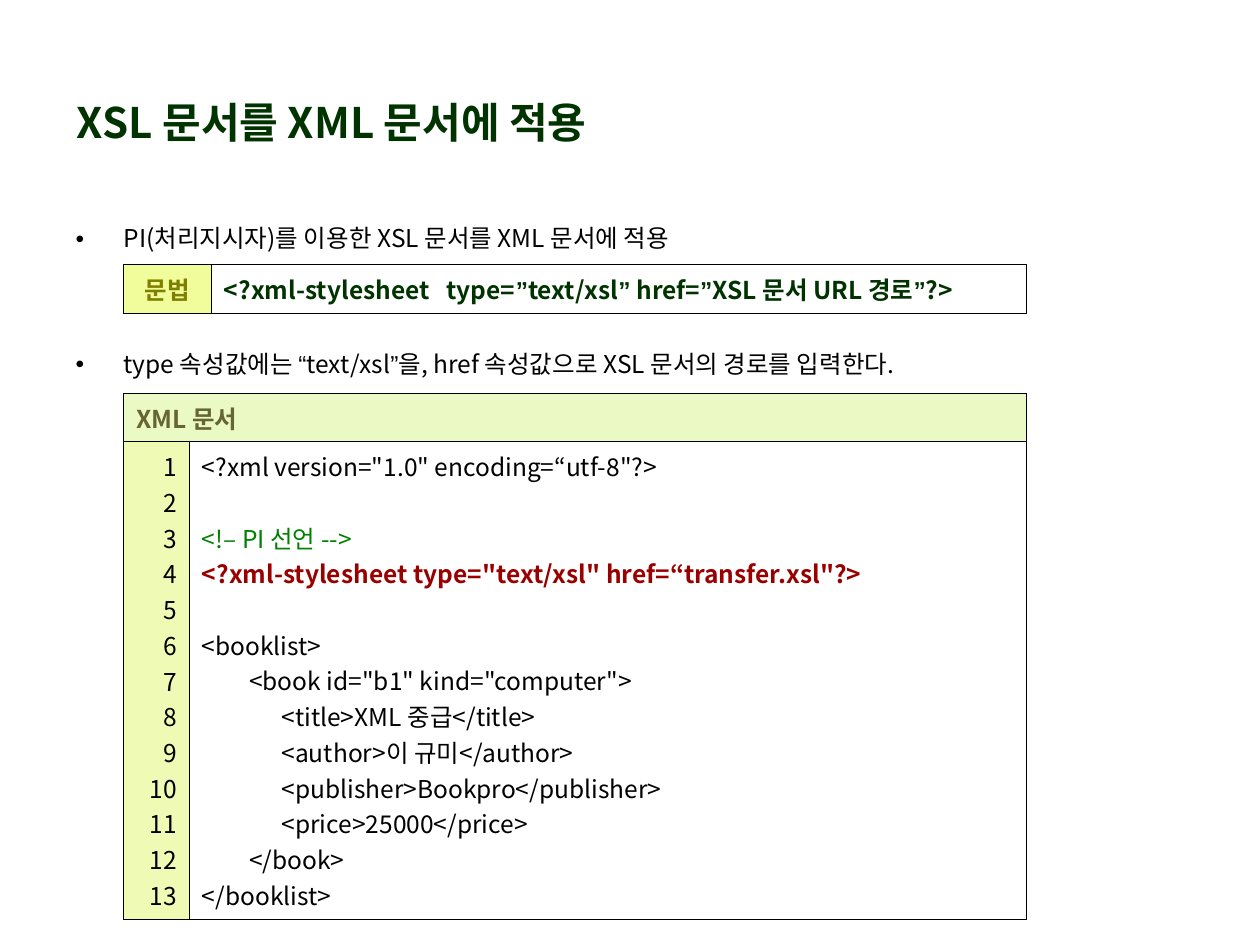
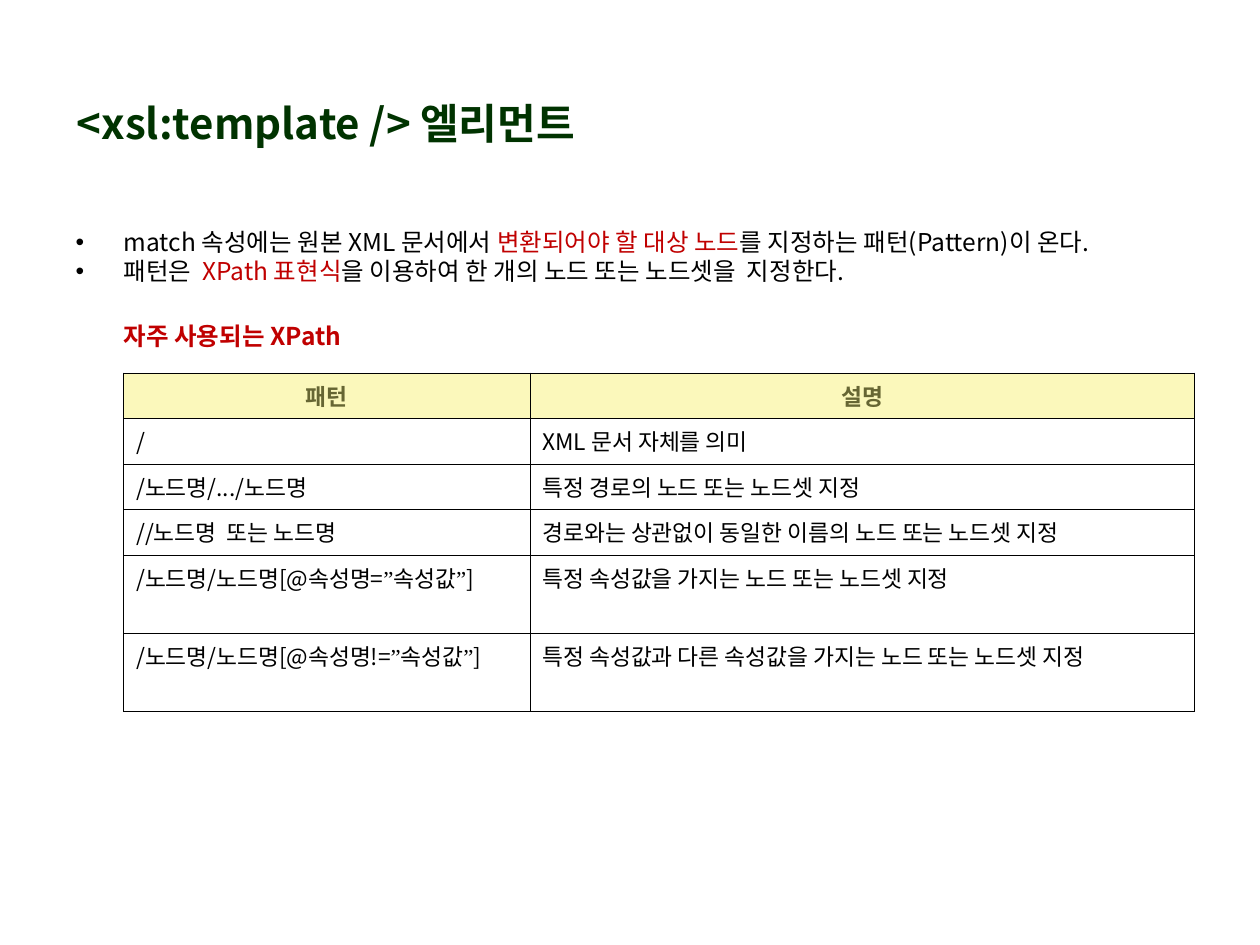
import itertools

import lxml.etree
import pptx
import pptx.dml.color
import pptx.enum.text
import pptx.oxml.ns
import pptx.util

Pt = pptx.util.Pt
ALIGN = pptx.enum.text.PP_ALIGN
ANCHOR = pptx.enum.text.MSO_ANCHOR

# Shared look
FONT = "Noto Sans CJK KR"
BLACK, TITLE_GREEN, RED = "000000", "003300", "C00000"
HEADING_OLIVE = "666633"
BODY_SIZE, TABLE_SIZE, TITLE_SIZE = 14, 13, 24
HANGING = 27.4
TABLE_LEFT = 70.6
LINE_PITCH = 20.4

# Slide 1 content
APPLY_TITLE = "XSL 문서를 XML 문서에 적용"
APPLY_POINTS = [
    {"parts": [("PI(처리지시자)를 이용한 XSL 문서를 XML 문서에 적용", BLACK)]},
    {"parts": [("type 속성값에는 “text/xsl”을, href 속성값으로 XSL 문서의 경로를 입력한다.", BLACK)],
     "before": 56.5},
]
SYNTAX_LABEL = "문법"
SYNTAX = "<?xml-stylesheet   type=”text/xsl” href=”XSL 문서 URL 경로”?>"
LISTING_HEADING = "XML 문서"
COMMENT = {"color": "008000"}
INSTRUCTION = {"color": "990000", "bold": True}
CODE_INDENTS = [0, 27, 45.5]
CODE = [  # indent level, text, format
    (0, '<?xml version="1.0" encoding=“utf-8"?>', {}),
    (0, "", {}),
    (0, "<!– PI 선언 -->", COMMENT),
    (0, '<?xml-stylesheet type="text/xsl" href=“transfer.xsl"?>', INSTRUCTION),
    (0, "", {}),
    (0, "<booklist>", {}),
    (1, '<book id="b1" kind="computer">', {}),
    (2, "<title>XML 중급</title>", {}),
    (2, "<author>이 규미</author>", {}),
    (2, "<publisher>Bookpro</publisher>", {}),
    (2, "<price>25000</price>", {}),
    (1, "</book>", {}),
    (0, "</booklist>", {}),
]

# Slide 2 content
TEMPLATE_TITLE = "<xsl:template /> 엘리먼트"
TEMPLATE_POINTS = [
    {"parts": [("match 속성에는 원본 XML 문서에서 ", BLACK), ("변환되어야 할 대상 노드", RED),
               ("를 지정하는 패턴(Pattern)이 온다.", BLACK)]},
    {"parts": [("패턴은  ", BLACK), ("XPath 표현식", RED),
               ("을 이용하여 한 개의 노드 또는 노드셋을  지정한다.", BLACK)]},
    {"parts": [("자주 사용되는 XPath", RED)], "before": LINE_PITCH, "bullet": False, "bold": True},
]
XPATH_HEADER = ("패턴", "설명")
XPATH_ROWS = [
    ("/", "XML 문서 자체를 의미"),
    ("/노드명/.../노드명", "특정 경로의 노드 또는 노드셋 지정"),
    ("//노드명  또는 노드명", "경로와는 상관없이 동일한 이름의 노드 또는 노드셋 지정"),
    ("/노드명/노드명[@속성명=”속성값”]", "특정 속성값을 가지는 노드 또는 노드셋 지정"),
    ("/노드명/노드명[@속성명!=”속성값”]", "특정 속성값과 다른 속성값을 가지는 노드 또는 노드셋 지정"),
]


def rgb(value):
    return pptx.dml.color.RGBColor.from_string(value)


def add_element(parent, tag, **attributes):
    return lxml.etree.SubElement(parent, pptx.oxml.ns.qn(tag), attributes)


def add_text(para, text, size=BODY_SIZE, color=BLACK, bold=False, quote_font=FONT, align=ALIGN.LEFT):
    """Append text to a paragraph, with curly quotes in their own font."""
    para.alignment = align
    for is_quote, characters in itertools.groupby(text, key=lambda char: char in "“”"):
        span = para.add_run()
        span.text = "".join(characters)
        font = span.font
        font.size, font.bold = Pt(size), bold
        font.color.rgb = rgb(color)
        font.name = quote_font if is_quote else FONT
        add_element(font._element, "a:ea", typeface=font.name)


def next_para(frame):
    """Give the empty first paragraph, or a new one after it."""
    first = frame.paragraphs[0]
    return frame.add_paragraph() if first.runs else first


def set_indent(para, left, first=0):
    properties = para._p.get_or_add_pPr()
    properties.set("marL", str(Pt(left)))
    properties.set("indent", str(Pt(first)))
    return properties


def place(shape, left, top, width, height):
    shape.left, shape.top, shape.width, shape.height = map(Pt, (left, top, width, height))
    shape.text_frame.word_wrap = True
    shape.text_frame.auto_size = pptx.enum.text.MSO_AUTO_SIZE.NONE


def add_slide(deck, title, title_area, points, body_height, line_spacing):
    slide = deck.slides.add_slide(deck.slide_layouts[1])
    heading, body = slide.placeholders
    place(heading, *title_area)
    heading.text_frame.vertical_anchor = ANCHOR.MIDDLE
    add_text(heading.text_frame.paragraphs[0], title, size=TITLE_SIZE, color=TITLE_GREEN, bold=True)

    place(body, 36, 126, 653, body_height)
    for point in points:
        para = next_para(body.text_frame)
        para.line_spacing = line_spacing
        para.space_before = Pt(point.get("before", 0))
        for text, color in point["parts"]:
            add_text(para, text, color=color, bold=point.get("bold", False), quote_font="Arial")
        if point.get("bullet", True):
            properties = set_indent(para, HANGING, -HANGING)
            add_element(add_element(properties, "a:buClr"), "a:srgbClr", val=BLACK)
            add_element(properties, "a:buFont", typeface="Arial")
            add_element(properties, "a:buChar", char="•")
        else:
            add_element(set_indent(para, HANGING), "a:buNone")
    return slide


def add_border(cell):
    properties = cell._tc.get_or_add_tcPr()
    for position, side in enumerate("LRTB"):
        line = add_element(properties, f"a:ln{side}", w=str(Pt(0.45)))
        add_element(add_element(line, "a:solidFill"), "a:srgbClr", val=BLACK)
        properties.insert(position, line)


def add_table(slide, top, widths, heights):
    """Add a table with thin black lines and no fill."""
    frame = slide.shapes.add_table(len(heights), len(widths), Pt(TABLE_LEFT), Pt(top),
                                   Pt(sum(widths)), Pt(sum(heights)))
    table = frame.table
    table.first_row = table.horz_banding = False
    for column, width in zip(table.columns, widths):
        column.width = Pt(width)
    for row, height in zip(table.rows, heights):
        row.height = Pt(height)
    for cell in table.iter_cells():
        cell.fill.background()
        add_border(cell)
    return table


def fill_cell(cell, text, fill=None, **text_format):
    if fill:
        cell.fill.solid()
        cell.fill.fore_color.rgb = rgb(fill)
    add_text(cell.text_frame.paragraphs[0], text, **text_format)


def build_apply_slide(deck):
    slide = add_slide(deck, APPLY_TITLE, (36.7, 44.6, 514, 49.7), APPLY_POINTS, 150, 0.9)

    # Syntax box
    syntax = add_table(slide, 151.2, [50.2, 465.6], [27.8])
    label, statement = syntax.cell(0, 0), syntax.cell(0, 1)
    label.vertical_anchor = statement.vertical_anchor = ANCHOR.MIDDLE
    fill_cell(label, SYNTAX_LABEL, fill="F1FD9B", color="808000", bold=True, align=ALIGN.CENTER)
    fill_cell(statement, SYNTAX, color=TITLE_GREEN, bold=True, quote_font="Arial")

    # Numbered listing
    listing = add_table(slide, 224.7, [37.6, 478.2], [27.8, 272.9])
    heading = listing.cell(0, 0)
    heading.merge(listing.cell(0, 1))
    fill_cell(heading, LISTING_HEADING, fill="EBFAC4", color=HEADING_OLIVE, bold=True)
    numbers, code = listing.cell(1, 0), listing.cell(1, 1)
    numbers.fill.solid()
    numbers.fill.fore_color.rgb = rgb("EFFBB5")
    skipped = 0
    for number, (level, text, text_format) in enumerate(CODE, 1):
        add_text(next_para(numbers.text_frame), str(number), align=ALIGN.RIGHT)
        if not text:
            skipped += 1
            continue
        para = next_para(code.text_frame)
        para.space_before = Pt(skipped * LINE_PITCH)
        set_indent(para, CODE_INDENTS[level])
        add_text(para, text, **text_format)
        skipped = 0


def build_template_slide(deck):
    slide = add_slide(deck, TEMPLATE_TITLE, (36.7, 53.3, 414, 33.1), TEMPLATE_POINTS, 87, 1.0)

    # XPath pattern table
    table = add_table(slide, 213.1, [232.2, 379.8], [26] * 4 + [44.8] * 2)
    for column, text in enumerate(XPATH_HEADER):
        fill_cell(table.cell(0, column), text, fill="FBF8BB", size=TABLE_SIZE,
                  color=HEADING_OLIVE, bold=True, align=ALIGN.CENTER)
    for row, texts in enumerate(XPATH_ROWS, 1):
        for column, text in enumerate(texts):
            fill_cell(table.cell(row, column), text, size=TABLE_SIZE, quote_font="Times New Roman")


def main():
    deck = pptx.Presentation()
    deck.slide_width, deck.slide_height = Pt(720), Pt(540)
    build_apply_slide(deck)
    build_template_slide(deck)
    deck.save("out.pptx")


if __name__ == "__main__":
    main()
